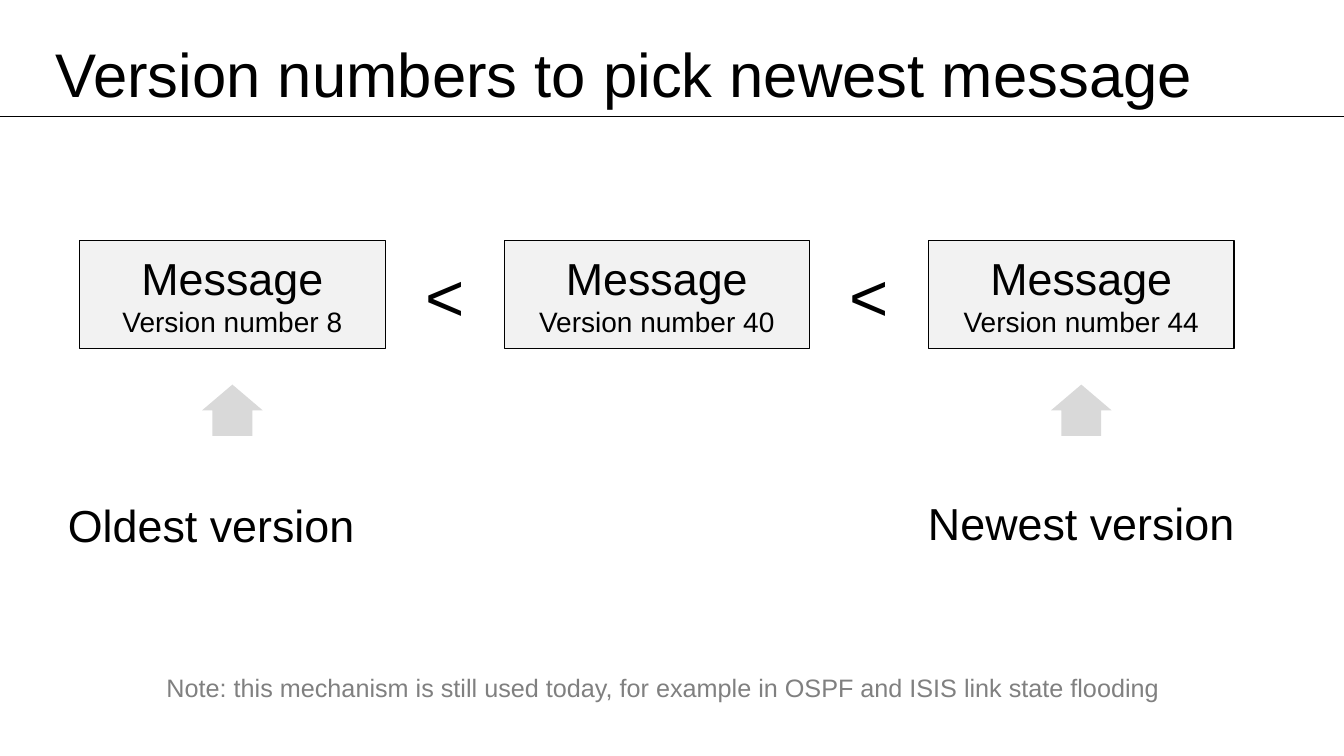
import pptx
import pptx.dml.color
import pptx.enum.shapes
import pptx.enum.text
import pptx.oxml.ns
import pptx.util
from lxml import etree

Inches = pptx.util.Inches
Pt = pptx.util.Pt
RGBColor = pptx.dml.color.RGBColor
Shape = pptx.enum.shapes.MSO_SHAPE
Align = pptx.enum.text.PP_ALIGN

BLACK = RGBColor(0x00, 0x00, 0x00)
NOTE_GREY = RGBColor(0x80, 0x80, 0x80)
CARD_GREY = RGBColor(0xF2, 0xF2, 0xF2)
ARROW_GREY = RGBColor(0xD9, 0xD9, 0xD9)

SLIDE_WIDTH, SLIDE_HEIGHT = 13.33, 7.5
CARD_LEFT, CARD_TOP, CARD_WIDTH, CARD_HEIGHT = 0.79, 2.39, 3.03, 1.07
CARD_STEP = 4.21
SIGN_LEFT, SIGN_WIDTH = 3.95, 0.92
ARROW_TOP, ARROW_WIDTH, ARROW_HEIGHT = 3.77, 0.51, 0.6


def set_attributes(target, values):
    for name, value in values.items():
        setattr(target, name, value)


class SlideBuilder:
    """Holds the text style and the slide being filled."""

    frame_format = {
        "word_wrap": True,
        "auto_size": pptx.enum.text.MSO_AUTO_SIZE.NONE,
        "vertical_anchor": pptx.enum.text.MSO_ANCHOR.MIDDLE,
    }
    no_margins = dict.fromkeys(
        ("margin_left", "margin_top", "margin_right", "margin_bottom"), 0)
    font_name = "Arial"

    def __init__(self, presentation):
        self.slide = presentation.slides.add_slide(presentation.slide_layouts[5])

    def set_text(self, shape, lines, color=BLACK, alignment=Align.CENTER):
        """Fill a shape with (text, size) lines, one paragraph each."""
        frame = shape.text_frame
        set_attributes(frame, self.frame_format)
        frame.text = "\n".join(text for text, size in lines)
        for paragraph, (text, size) in zip(frame.paragraphs, lines):
            paragraph.alignment = alignment
            set_attributes(paragraph.font, {"name": self.font_name, "size": Pt(size)})
            paragraph.font.color.rgb = color

    def title(self, text, left, top, width, height):
        title = self.slide.shapes.title
        set_attributes(title, {"left": Inches(left), "top": Inches(top),
                               "width": Inches(width), "height": Inches(height)})
        self.set_text(title, [(text, 44)], alignment=Align.LEFT)
        title.text_frame.paragraphs[0].line_spacing = 0.9

    def rule(self, top):
        line = self.slide.shapes.add_connector(
            pptx.enum.shapes.MSO_CONNECTOR.STRAIGHT,
            0, Inches(top), Inches(SLIDE_WIDTH), Inches(top))
        line.line.color.rgb = BLACK
        line.line.width = Pt(0.5)
        etree.SubElement(line._element.spPr, pptx.oxml.ns.qn("a:effectLst"))

    def label(self, text, size, left, top, width, height, color=BLACK):
        box = self.slide.shapes.add_textbox(
            Inches(left), Inches(top), Inches(width), Inches(height))
        set_attributes(box.text_frame, self.no_margins)
        self.set_text(box, [(text, size)], color)

    def filled_shape(self, kind, fill, left, top, width, height):
        shape = self.slide.shapes.add_shape(
            kind, Inches(left), Inches(top), Inches(width), Inches(height))
        shape.shadow.inherit = False
        shape.fill.solid()
        shape.fill.fore_color.rgb = fill
        return shape

    def message_card(self, version, left):
        card = self.filled_shape(
            Shape.RECTANGLE, CARD_GREY, left, CARD_TOP, CARD_WIDTH, CARD_HEIGHT)
        card.line.color.rgb = BLACK
        card.line.width = Pt(0.75)
        set_attributes(card.text_frame, self.no_margins)
        self.set_text(card, [("Message", 32), (f"Version number {version}", 20)])

    def up_arrow(self, center):
        arrow = self.filled_shape(
            Shape.RIGHT_ARROW, ARROW_GREY,
            center - ARROW_WIDTH / 2, ARROW_TOP, ARROW_WIDTH, ARROW_HEIGHT)
        arrow.line.fill.background()
        arrow.rotation = 270
        arrow.adjustments[0] = 0.66
        arrow.adjustments[1] = 0.5


def main():
    presentation = pptx.Presentation()
    presentation.slide_width = Inches(SLIDE_WIDTH)
    presentation.slide_height = Inches(SLIDE_HEIGHT)

    builder = SlideBuilder(presentation)
    builder.rule(1.15)
    builder.title("Version numbers to pick newest message", 0.45, 0.36, 12.39, 0.81)

    versions = (8, 40, 44)
    for index, version in enumerate(versions):
        builder.message_card(version, CARD_LEFT + index * CARD_STEP)
    for index in range(len(versions) - 1):
        builder.label("<", 48, SIGN_LEFT + index * CARD_STEP,
                      CARD_TOP, SIGN_WIDTH, CARD_HEIGHT)

    builder.label(
        "Note: this mechanism is still used today, for example in OSPF and ISIS "
        "link state flooding", 18, 0.24, 6.51, 12.67, 0.63, NOTE_GREY)

    for index in (0, len(versions) - 1):
        builder.up_arrow(CARD_LEFT + CARD_WIDTH / 2 + index * CARD_STEP)
    builder.label("Oldest version", 32, 0.24, 4.67, 3.71, 1.07)
    builder.label("Newest version", 32, 8.87, 4.65, 3.71, 1.07)

    presentation.save("out.pptx")


if __name__ == "__main__":
    main()
